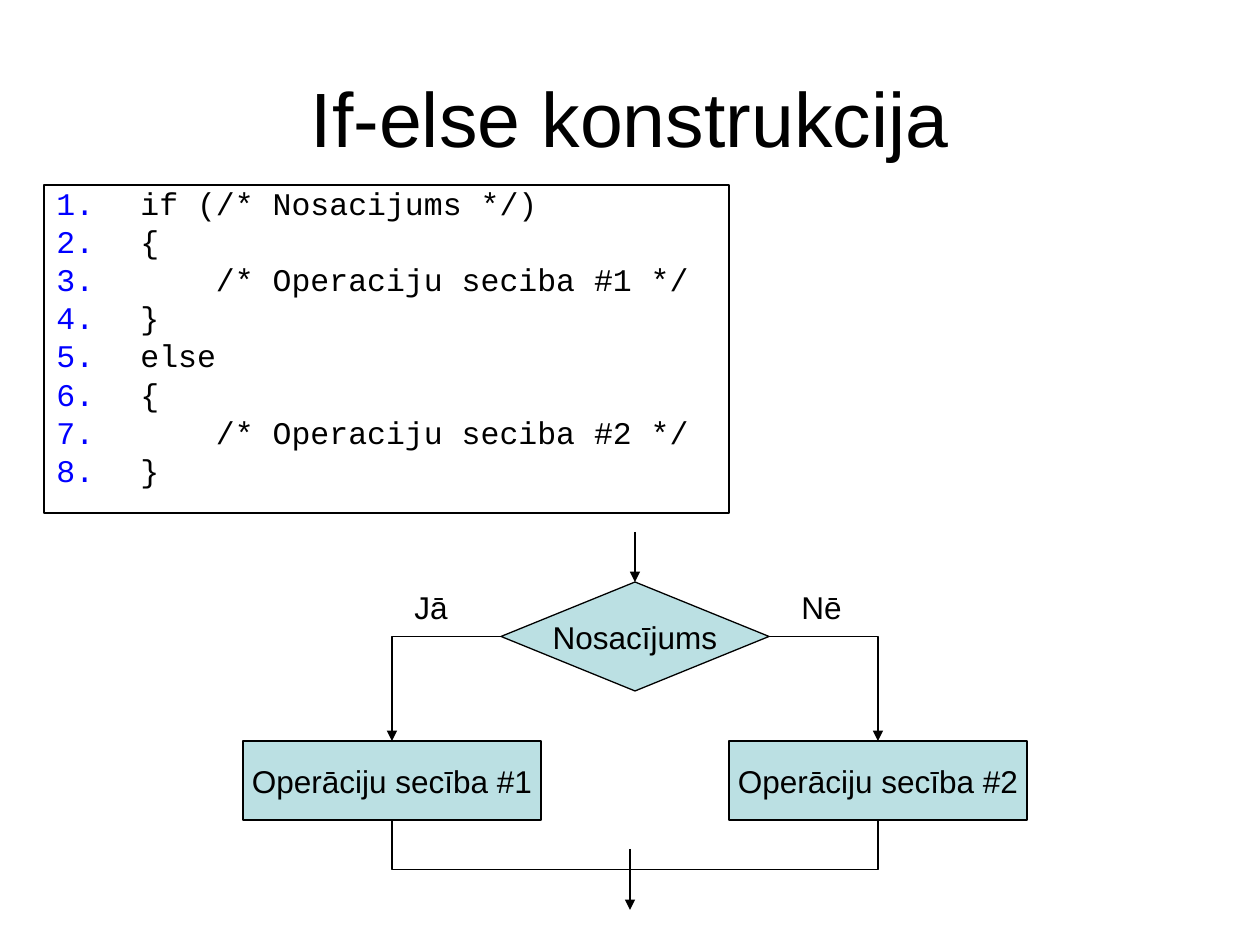
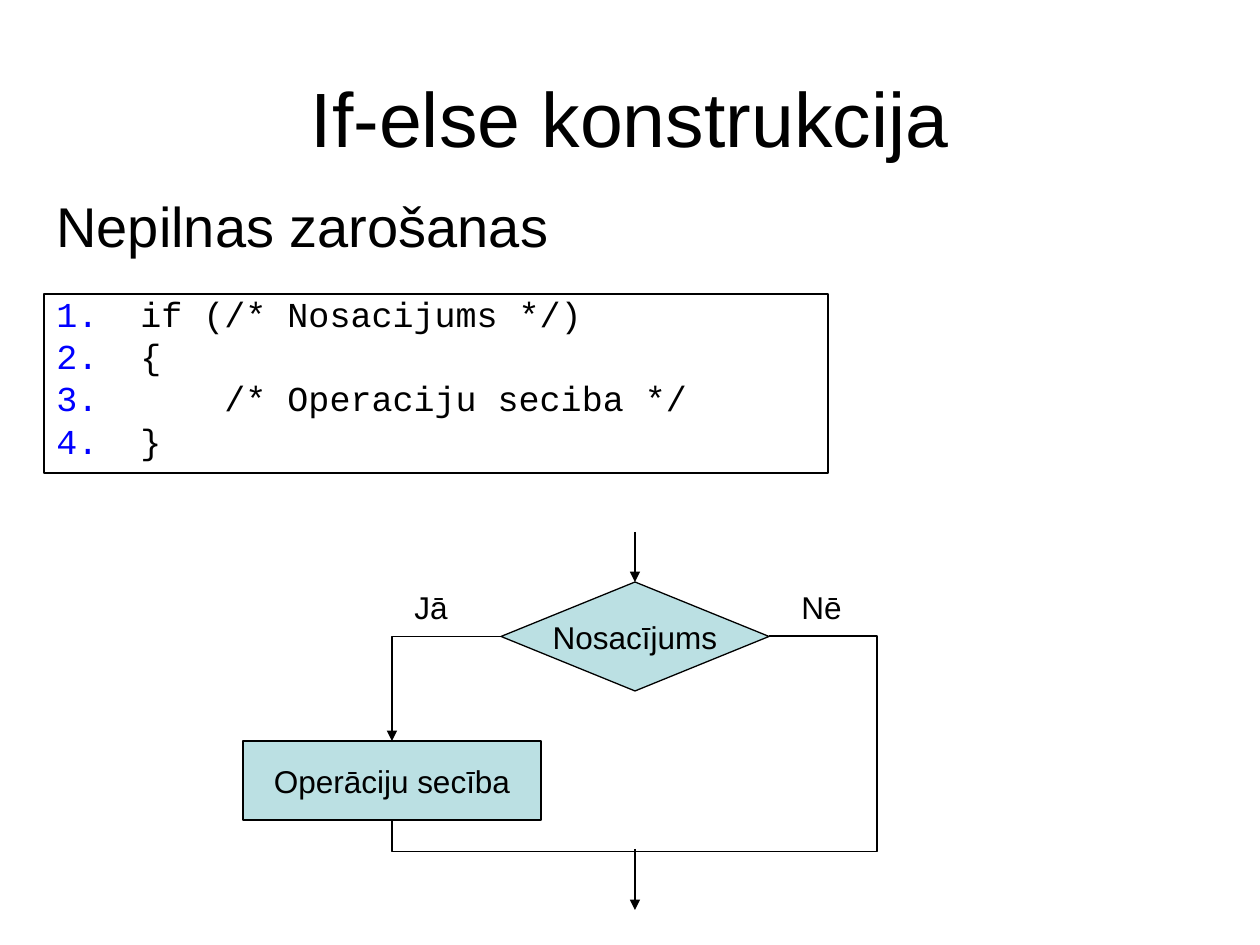
from collections import namedtuple

from lxml.etree import SubElement
from pptx import Presentation
from pptx.dml.color import RGBColor
from pptx.enum.shapes import MSO_CONNECTOR as CONNECTOR, MSO_SHAPE as SHAPE
from pptx.enum.text import MSO_ANCHOR as ANCHOR, PP_ALIGN as ALIGN
from pptx.oxml.ns import qn
from pptx.util import Emu, Inches, Pt

PX_PER_INCH = 126
BLACK, BLUE, TEAL = "000000", "0000FF", "BBE0E3"
TOP, LEFT, BOTTOM, RIGHT = range(4)
TITLE_ONLY = 5

Box = namedtuple("Box", "left top width height")
TITLE_BOX = Box(63, 38, 1134, 158)
CHART_BOX = Box(243, 532, 784, 378)


def px(length):
    return Emu(round(length * 914400 / PX_PER_INCH))


def color(value):
    return RGBColor.from_string(value)


def apply(target, **values):
    for name, value in values.items():
        setattr(target, name, value)


def place(shape, box):
    apply(shape, **{side: px(length) for side, length in box._asdict().items()})


def outline(shape):
    shape.line.color.rgb = color(BLACK)
    shape.line.width = Pt(0.75)


def style_font(paragraph, size, font="Arial"):
    apply(paragraph.font, name=font, size=Pt(size), bold=False)
    paragraph.font.color.rgb = color(BLACK)


def set_text(shape, text, size=18, align=ALIGN.LEFT, anchor=ANCHOR.TOP, wrap=True):
    frame = shape.text_frame
    apply(frame, text=text, vertical_anchor=anchor, word_wrap=wrap)
    frame.paragraphs[0].alignment = align
    style_font(frame.paragraphs[0], size)


def add_label(slide, box, text, size=18):
    label = slide.shapes.add_textbox(*map(px, box))
    set_text(label, text, size)


def add_node(slide, kind, box, text):
    node = slide.shapes.add_shape(kind, *map(px, box))
    node.shadow.inherit = False
    node.fill.solid()
    node.fill.fore_color.rgb = color(TEAL)
    outline(node)
    set_text(node, text, align=ALIGN.CENTER, anchor=ANCHOR.MIDDLE, wrap=False)
    return node


# Connectors
def add_line(slide, start=(0, 0), end=(0, 0), kind=CONNECTOR.STRAIGHT, arrow=True):
    line = slide.shapes.add_connector(kind, *map(px, (*start, *end)))
    outline(line)
    if arrow:
        SubElement(line.line._get_or_add_ln(), qn("a:tailEnd"), type="triangle")
    SubElement(line._element.spPr, qn("a:effectLst"))
    return line


def add_elbow(slide, begin, end, preset, arrow=False, adjustments=(), box=None, **turn):
    """Join two (shape, site) ends; box and turn set the frame of a rotated bend."""
    elbow = add_line(slide, kind=CONNECTOR.ELBOW, arrow=arrow)
    elbow.begin_connect(*begin)
    elbow.end_connect(*end)
    properties = elbow._element.spPr
    geometry = properties.find(qn("a:prstGeom"))
    geometry.set("prst", preset)
    for number, value in enumerate(adjustments, 1):
        SubElement(geometry.find(qn("a:avLst")), qn("a:gd"), name=f"adj{number}",
                   fmla=f"val {round(value * 100000)}")
    if box:
        place(elbow, box)
        frame = properties.find(qn("a:xfrm"))
        for name in ("flipH", "flipV"):
            frame.attrib.pop(name, None)
        for name, value in turn.items():
            frame.set(name, str(value))


def turned_box(start, end):
    """Frame that spans start to end once it is turned a quarter."""
    across, down = abs(end[0] - start[0]), abs(end[1] - start[1])
    middle_x, middle_y = (start[0] + end[0]) / 2, (start[1] + end[1]) / 2
    return Box(middle_x - down / 2, middle_y - across / 2, down, across)


# Regions
def add_title(slide, text):
    place(slide.shapes.title, TITLE_BOX)
    set_text(slide.shapes.title, text, 44, ALIGN.CENTER, ANCHOR.MIDDLE)


def add_code(slide, box, lines, size):
    listing = slide.shapes.add_textbox(*map(px, box))
    outline(listing)
    frame = listing.text_frame
    frame.word_wrap = True
    for index, text in enumerate(lines):
        paragraph = frame.add_paragraph() if index else frame.paragraphs[0]
        paragraph.text = text
        properties = paragraph._p.get_or_add_pPr()
        properties.set("marL", str(px(84)))
        properties.set("indent", str(px(-84)))
        bullet_color = SubElement(properties, qn("a:buClr"))
        SubElement(bullet_color, qn("a:srgbClr"), val=BLUE)
        SubElement(properties, qn("a:buAutoNum"), type="arabicPeriod")
        paragraph.line_spacing = 0.8
        if index:
            paragraph.space_before = Pt(size / 4)
        style_font(paragraph, size, "Courier New")


def add_flowchart(slide, box, yes_text, no_text=None):
    left, top = box.left, box.top
    center = left + box.width // 2
    node_width, node_height, node_top = 298, 79, top + 209
    node_bottom = node_top + node_height

    # Condition and branches
    condition = add_node(slide, SHAPE.DIAMOND, Box(center - 134, top + 50, 268, 109),
                         "Nosacījums")
    yes_node = add_node(slide, SHAPE.RECTANGLE,
                        Box(left, node_top, node_width, node_height), yes_text)
    add_elbow(slide, (condition, LEFT), (yes_node, TOP), "bentConnector2", arrow=True)
    for text, offset in (("Jā", 159), ("Nē", 546)):
        add_label(slide, Box(left + offset, top + 50, 79, 50), text)
    entry = add_line(slide, (center, top), (center, top + 50))
    entry.end_connect(condition, TOP)

    # Paths meet again
    yes_end = (left + node_width // 2, node_bottom)
    if no_text:
        no_left = left + box.width - node_width
        no_node = add_node(slide, SHAPE.RECTANGLE,
                           Box(no_left, node_top, node_width, node_height), no_text)
        add_elbow(slide, (condition, RIGHT), (no_node, TOP), "bentConnector2", arrow=True)
        no_end = (no_left + node_width // 2, node_bottom + 1)
        add_elbow(slide, (yes_node, BOTTOM), (no_node, BOTTOM), "bentConnector3",
                  adjustments=(50,), box=turned_box(yes_end, no_end),
                  rot=270 * 60000, flipH=1)
        exit_x = center - 5
    else:
        no_start = (center + 134, top + 104)
        add_elbow(slide, (yes_node, BOTTOM), (condition, RIGHT), "bentConnector4",
                  adjustments=(-0.172, 1.287), box=turned_box(yes_end, no_start),
                  rot=90 * 60000, flipH=1, flipV=1)
        exit_x = center
    add_line(slide, (exit_x, top + 317), (exit_x, top + box.height))


# Slides
def new_slide(presentation):
    slide = presentation.slides.add_slide(presentation.slide_layouts[TITLE_ONLY])
    add_title(slide, "If-else konstrukcija")
    return slide


def build_full_branching(presentation):
    slide = new_slide(presentation)
    add_code(slide, Box(44, 185, 685, 328), [
        "if (/* Nosacijums */)",
        "{",
        "    /* Operaciju seciba #1 */",
        "}",
        "else",
        "{",
        "    /* Operaciju seciba #2 */",
        "}",
    ], 18)
    add_flowchart(slide, CHART_BOX, "Operāciju secība #1", "Operāciju secība #2")


def build_partial_branching(presentation):
    slide = new_slide(presentation)
    add_code(slide, Box(44, 294, 784, 179), [
        "if (/* Nosacijums */)",
        "{",
        "    /* Operaciju seciba */",
        "}",
    ], 20)
    add_flowchart(slide, CHART_BOX, "Operāciju secība")
    add_label(slide, Box(44, 185, 1022, 81), "Nepilnas zarošanas", 32)


def main():
    presentation = Presentation()
    apply(presentation, slide_width=Inches(10), slide_height=Inches(7.5))
    build_full_branching(presentation)
    build_partial_branching(presentation)
    presentation.save("out.pptx")


if __name__ == "__main__":
    main()
